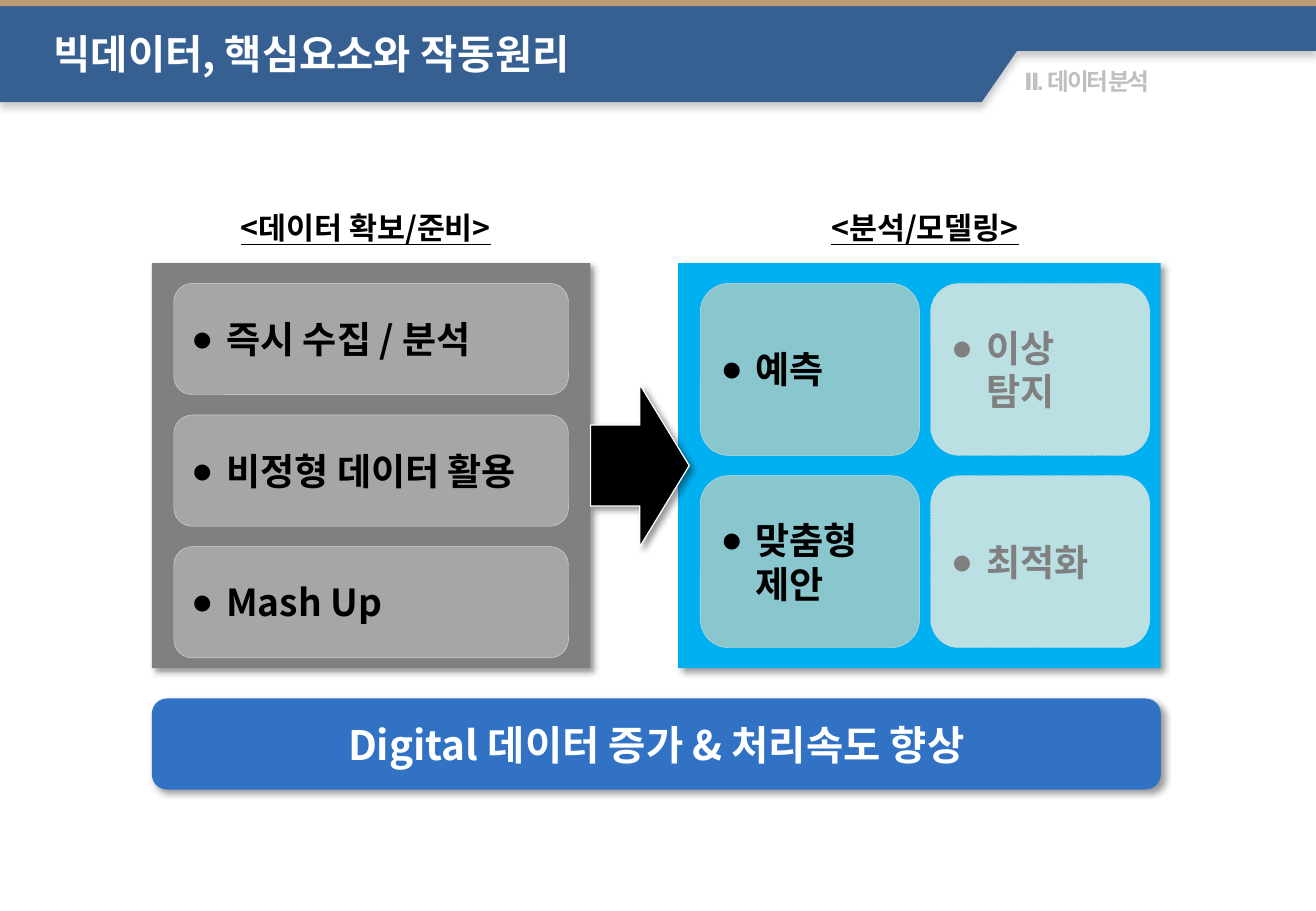
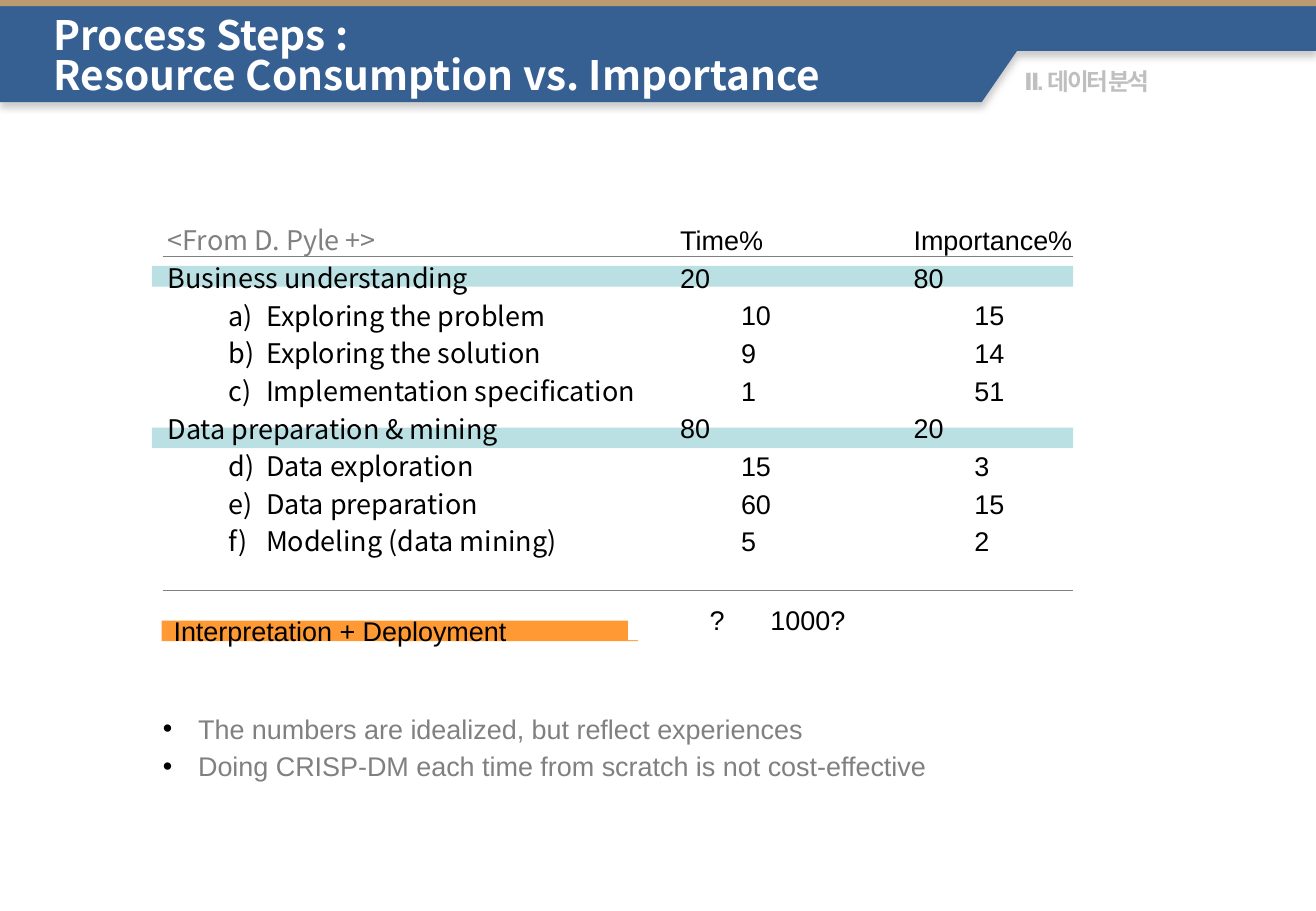
from lxml import etree
from pptx import Presentation
from pptx.dml.color import RGBColor
from pptx.enum.dml import MSO_LINE
from pptx.enum.shapes import MSO_CONNECTOR, MSO_SHAPE
from pptx.enum.text import MSO_ANCHOR, MSO_AUTO_SIZE, PP_ALIGN
from pptx.oxml.ns import qn
from pptx.util import Inches, Pt

RECTANGLE, ROUNDED = MSO_SHAPE.RECTANGLE, MSO_SHAPE.ROUNDED_RECTANGLE
ARROW, BANNER = MSO_SHAPE.RIGHT_ARROW, MSO_SHAPE.FLOWCHART_ALTERNATE_PROCESS
STRAIGHT = MSO_CONNECTOR.STRAIGHT
TOP, MIDDLE = MSO_ANCHOR.TOP, MSO_ANCHOR.MIDDLE
LEFT, CENTER = PP_ALIGN.LEFT, PP_ALIGN.CENTER
DASH = MSO_LINE.DASH

WIDTH, HEIGHT = 10.83, 7.5
MARGIN = 1.25
COLUMN, ROW = WIDTH / 60, HEIGHT / 90

KOREAN, LATIN = "Noto Sans CJK KR", "Arial"
BLACK, WHITE, GRAY = "000000", "FFFFFF", "808080"
NAVY, TAN, PALE_GRAY = "376092", "BB9A71", "BFBFBF"
TILE_GRAY, TILE_EDGE = "A6A6A6", "D9D9D9"
SKY, BLUE, TEAL, PALE_TEAL, ORANGE = "00B0F0", "3172C4", "8AC6CD", "BBE0E3", "FF9933"

LIST_PITCH = 22.3
STEPS = [
    ("<From D. Pyle +>", "Time%", "Importance%"),
    ("Business understanding", "20", "80"),
    ("a)\tExploring the problem", "10", "15"),
    ("b)\tExploring the solution", "9", "14"),
    ("c)\tImplementation specification", "1", "51"),
    ("Data preparation & mining", "80", "20"),
    ("d)\tData exploration", "15", "3"),
    ("e)\tData preparation", "60", "15"),
    ("f)\tModeling (data mining)", "5", "2"),
]
GROUP_ROWS = (0, 1, 5)


def rgb(color):
    return RGBColor.from_string(color)


def cell(column, row, columns, rows):
    """Box in inches from grid units; columns count from the content margin."""
    return MARGIN + column * COLUMN, row * ROW, columns * COLUMN, rows * ROW


def lengths(box):
    return [Inches(value) for value in box]


def child(parent, tag, **attributes):
    return etree.SubElement(parent, qn(tag), attributes)


def add_shadow(shape, color, direction):
    effects = shape.element.spPr.find(qn("a:effectLst"))
    shadow = child(effects, "a:outerShdw", blurRad=str(Pt(4)), dist=str(Pt(3)),
                   dir=str(direction * 60000), algn="t", rotWithShape="0")
    child(child(shadow, "a:srgbClr", val=color), "a:alpha", val="40000")


def paint(shape, fill, edge=None, edge_width=0.25, dash=None, shadow=None):
    """Fill and outline a shape; shadow is a pair of colour and degrees."""
    shape.fill.solid()
    shape.fill.fore_color.rgb = rgb(fill)
    if edge:
        shape.line.color.rgb = rgb(edge)
        shape.line.width = Pt(edge_width)
        if dash:
            shape.line.dash_style = dash
    else:
        shape.line.fill.background()
    shape.shadow.inherit = False
    if shadow:
        add_shadow(shape, *shadow)


def add_box(slide, kind, box, fill, **look):
    shape = slide.shapes.add_shape(kind, *lengths(box))
    paint(shape, fill, **look)
    return shape


def add_run(paragraph, text, size, font, color, bold, underline):
    run = paragraph.add_run()
    run.text = text
    run.font.size = Pt(size)
    run.font.name = font
    run.font.bold = bold
    run.font.underline = underline
    run.font.color.rgb = rgb(color)
    child(run.font._element, "a:ea", typeface=KOREAN)
    return run


def set_bullet(paragraph, bullet, indent, hanging):
    properties = paragraph._p.get_or_add_pPr()
    properties.set("marL", str(Inches(indent)))
    properties.set("indent", str(Inches(-hanging)))
    if bullet:
        child(child(properties, "a:buClr"), "a:srgbClr", val=bullet[1])
        child(properties, "a:buFont", typeface=LATIN)
        child(properties, "a:buChar", char=bullet[0])
    else:
        child(properties, "a:buNone")


def add_paragraph(frame, text, size, color, font=KOREAN, bold=False, underline=False,
                  align=LEFT, pitch=None, bullet=None, indent=0, hanging=0, level=0):
    """Use the empty first paragraph, then append; pitch is the line height in points."""
    first = frame.paragraphs[0]
    paragraph = frame.add_paragraph() if first.runs else first
    paragraph.alignment = align
    paragraph.level = level
    paragraph.space_before = Pt(0)
    if pitch:
        paragraph.line_spacing = Pt(pitch)
    set_bullet(paragraph, bullet, indent, hanging)
    run = add_run(paragraph, text, size, font, color, bold, underline)
    return paragraph, run


def prepare(shape, anchor):
    frame = shape.text_frame
    frame.word_wrap = True
    frame.auto_size = MSO_AUTO_SIZE.NONE
    frame.vertical_anchor = anchor
    return frame


def place(shape, box):
    shape.left, shape.top, shape.width, shape.height = lengths(box)
    return shape


def add_text_box(slide, box):
    return slide.shapes.add_textbox(*lengths(box))


def add_title(slide, top, lines):
    title = place(slide.shapes.title, (0.34, top, 8.35, 0.76))
    frame = prepare(title, TOP)
    for line in lines:
        add_paragraph(frame, line, 24, WHITE, bold=True, pitch=23.7)


def add_tile(slide, box, text, fill, color=BLACK, dash=None):
    tile = add_box(slide, ROUNDED, box, fill, edge=TILE_EDGE, dash=dash)
    add_paragraph(prepare(tile, MIDDLE), text, 22, color, bold=True, pitch=26,
                  bullet=("●", color), indent=0.29, hanging=0.29)


def add_heading(slide, box, text):
    frame = prepare(add_text_box(slide, box), MIDDLE)
    add_paragraph(frame, text, 18, BLACK, bold=True, underline=True, align=CENTER)


def add_rule(slide, top):
    left, _, width, _ = cell(0.5, 0, 41.5, 0)
    rule = slide.shapes.add_connector(STRAIGHT, *lengths((left, top, left + width, top)))
    rule.line.color.rgb = rgb(GRAY)
    rule.line.width = Pt(0.75)
    child(rule.element.spPr, "a:effectLst")


def add_step_column(shape, texts, font, header_color=BLACK):
    frame = prepare(shape, TOP)
    for row, text in enumerate(texts):
        group = row in GROUP_ROWS
        add_paragraph(frame, text, 16, BLACK if row else header_color, font=font,
                      pitch=LIST_PITCH, level=0 if group else 1,
                      indent=0.38 if group else 0.81, hanging=0.38 if group else 0.31)


def build_master(presentation, slide):
    """Draw the shared header on a slide and move it into the slide master."""
    builder = slide.shapes.build_freeform(0, 0, scale=Inches(1) / 100)
    builder.add_line_segments([(1083, 0), (1083, 42), (837, 42), (808, 84), (0, 84)])
    band = builder.convert_to_shape()
    paint(band, NAVY, shadow=(GRAY, 90))
    label = add_text_box(slide, (8.33, 0.5, 2.5, 0.34))
    _, run = add_paragraph(prepare(label, MIDDLE), "Ⅱ. 데이터 분석", 14, PALE_GRAY,
                           font=LATIN, bold=True)
    run.font._element.set("spc", "-150")
    stripe = add_box(slide, RECTANGLE, (0, 0, WIDTH, 0.05), TAN)
    for number, shape in enumerate((band, label, stripe), start=20):
        shape.element.nvSpPr.cNvPr.set("id", str(number))
        presentation.slide_master.shapes.element.append(shape.element)


def build_elements_slide(slide):
    add_title(slide, 0.26, ["빅데이터, 핵심요소와 작동원리"])
    shadow = (BLACK, 45)
    add_box(slide, RECTANGLE, cell(0, 26, 20, 40), GRAY, shadow=shadow)
    add_box(slide, RECTANGLE, cell(24, 26, 22, 40), SKY, shadow=shadow)
    add_box(slide, ARROW, cell(20, 38, 4.5, 16), BLACK, edge=WHITE, edge_width=0.75,
            shadow=shadow)
    banner = add_box(slide, BANNER, cell(0, 69, 46, 9), BLUE, shadow=shadow)
    add_paragraph(prepare(banner, MIDDLE), "Digital 데이터 증가 & 처리속도 향상", 24,
                  WHITE, bold=True, align=CENTER)

    for index, text in enumerate(("즉시 수집 / 분석", "비정형 데이터 활용", "Mash Up")):
        add_tile(slide, cell(1, 28 + 13 * index, 18, 11), text, TILE_GRAY)
    for index, (main, faded) in enumerate((("예측", "이상 탐지"), ("맞춤형 제안", "최적화"))):
        row = 28 + 19 * index
        add_tile(slide, cell(25, row, 10, 17), main, TEAL)
        add_tile(slide, cell(35.5, row, 10, 17), faded, PALE_TEAL, GRAY, DASH)

    add_heading(slide, cell(-0.5, 17, 20.5, 11), "<데이터 확보/준비>")
    add_heading(slide, cell(25, 17, 20.5, 11), "<분석/모델링>")


def build_steps_slide(slide):
    add_title(slide, 0.1, ["Process Steps :", "Resource Consumption vs. Importance"])
    for top in (2.19, 3.52):
        highlight = add_box(slide, RECTANGLE, (MARGIN, top, 42 * COLUMN, 0.17), PALE_TEAL)
        slide.shapes.element.insert(2, highlight.element)

    steps, times, importances = zip(*STEPS)
    step_list = place(slide.placeholders[1], (1.28, 1.75, 5.08, 4.5))
    add_step_column(step_list, steps, KOREAN, GRAY)
    for left, texts in ((5.5, times), (7.42, importances)):
        add_step_column(add_text_box(slide, (left, 1.75, 2.2, 4.5)), texts, LATIN)

    notes = prepare(place(slide.placeholders[2], (1.24, 5.77, 6.76, 0.72)), TOP)
    for text in ("The numbers are idealized, but reflect experiences",
                 "Doing CRISP-DM each time from scratch is not cost-effective"):
        add_paragraph(notes, text, 16, GRAY, font=LATIN, pitch=LIST_PITCH,
                      bullet=("•", BLACK), indent=0.29, hanging=0.29)

    for top in (2.11, 4.86):
        add_rule(slide, top)

    deployment = add_box(slide, RECTANGLE, (1.33, 5.11, 3.92, 0.17), ORANGE)
    frame = prepare(deployment, MIDDLE)
    frame.margin_top = frame.margin_bottom = 0
    add_paragraph(frame, "Interpretation + Deployment", 16, BLACK, font=LATIN)

    totals = add_box(slide, RECTANGLE, (5.17, 4.94, 3.92, 0.33), WHITE)
    frame = prepare(totals, MIDDLE)
    frame.margin_left = Inches(0.67)
    paragraph, _ = add_paragraph(frame, "?\t1000?", 16, BLACK, font=LATIN)
    tabs = child(paragraph._p.get_or_add_pPr(), "a:tabLst")
    child(tabs, "a:tab", pos=str(Inches(1.4)), algn="l")


def main():
    presentation = Presentation()
    presentation.slide_width, presentation.slide_height = Inches(WIDTH), Inches(HEIGHT)
    title_only, two_content = (presentation.slide_layouts[index] for index in (5, 3))
    elements_slide = presentation.slides.add_slide(title_only)
    build_master(presentation, elements_slide)
    build_elements_slide(elements_slide)
    build_steps_slide(presentation.slides.add_slide(two_content))
    presentation.save("out.pptx")


if __name__ == "__main__":
    main()
